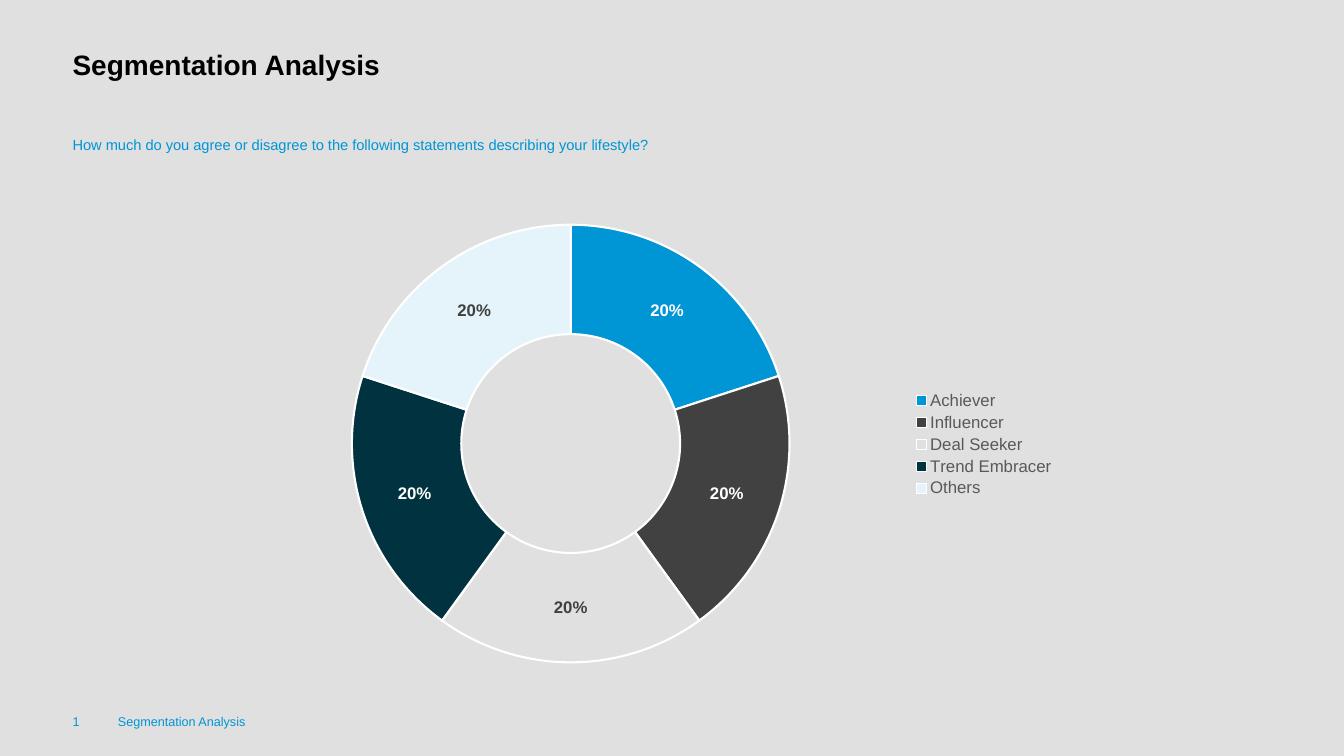
from dataclasses import dataclass

from pptx import Presentation
from pptx.chart.data import CategoryChartData
from pptx.dml.color import RGBColor
from pptx.enum import chart as ch
from pptx.oxml import parse_xml
from pptx.oxml.ns import nsdecls
from pptx.util import Pt

FONT = "Arial"
BLUE = "0095D5"
GREY = "E0E0E0"
LEFT = 51.84


@dataclass
class Caption:
    words: str
    left: float
    top: float
    width: float
    height: float
    size: float
    color: str = BLUE
    bold: bool = False
    spacing: float = 1.2


@dataclass
class Segment:
    name: str
    share: float
    fill: str
    label: str


CAPTIONS = [
    Caption("Segmentation Analysis", LEFT, 33.84, 708.5, 60.5, 20, "000000", True, 1.0),
    Caption("How much do you agree or disagree to the following statements "
            "describing your lifestyle?", LEFT, 94.3, 708.5, 30, 10.5),
    Caption("1", LEFT, 507.6, 31, 12.24, 9),
    Caption("Segmentation Analysis", 84.24, 507.6, 676, 12.24, 9),
]
SEGMENTS = [
    Segment("Achiever", 0.2, BLUE, "FFFFFF"),
    Segment("Influencer", 0.2, "414141", "FFFFFF"),
    Segment("Deal Seeker", 0.2, GREY, "404040"),
    Segment("Trend Embracer", 0.2, "00333F", "FFFFFF"),
    Segment("Others", 0.2, "E5F4FA", "404040"),
]


def rgb(value: str) -> RGBColor:
    return RGBColor.from_string(value)


def set_font(font, size: float, color: str, bold: bool = False) -> None:
    font.name, font.size, font.bold = FONT, Pt(size), bold
    font.color.rgb = rgb(color)


def add_caption(slide, caption: Caption) -> None:
    box = slide.shapes.add_textbox(Pt(caption.left), Pt(caption.top),
                                   Pt(caption.width), Pt(caption.height))
    frame = box.text_frame
    frame.word_wrap = True
    frame.margin_left = frame.margin_right = frame.margin_top = frame.margin_bottom = 0
    paragraph = frame.paragraphs[0]
    paragraph.text = caption.words
    paragraph.line_spacing = caption.spacing
    set_font(paragraph.font, caption.size, caption.color, caption.bold)


def add_segment_ring(slide, segments: list[Segment]) -> None:
    data = CategoryChartData(number_format="0%")
    data.categories = [segment.name for segment in segments]
    data.add_series("Series 1", [segment.share for segment in segments])
    ring = slide.shapes.add_chart(ch.XL_CHART_TYPE.DOUGHNUT, Pt(165.6), Pt(151.2),
                                  Pt(595.44), Pt(332.64), data).chart
    set_font(ring.font, 10, "000000")
    ring.has_title = False
    ring.has_legend = True
    ring.legend.position = ch.XL_LEGEND_POSITION.RIGHT
    ring.legend.include_in_layout = False
    set_font(ring.legend.font, 12, "595959")

    # Value labels
    plot = ring.plots[0]
    plot.vary_by_categories = True
    plot.has_data_labels = False
    labels = plot.series[0].data_labels
    labels.show_value = True
    labels.show_percentage = False
    labels.number_format, labels.number_format_is_linked = "0%", False
    set_font(labels.font, 12, "404040", True)

    # Ring segments
    for index, segment in enumerate(segments):
        point = plot.series[0].points[index]
        point.format.fill.solid()
        point.format.fill.fore_color.rgb = rgb(segment.fill)
        point.format.line.color.rgb = rgb("FFFFFF")
        point.format.line.width = Pt(1.5)
        if segment.label != "404040":
            set_font(point.data_label.font, 12, segment.label, True)

    # Hole size and ring placement
    chart_space = ring.element
    chart_space.xpath(".//c:holeSize")[0].set("val", "75")
    area = chart_space.xpath(".//c:plotArea")[0]
    for layout in area.xpath("./c:layout"):
        area.remove(layout)
    places = "".join(f'<c:{tag} val="{value}"/>' for tag, value in
                     [("x", 0.144), ("y", 0.028), ("w", 0.525), ("h", 0.94)])
    area.insert(0, parse_xml(
        f'<c:layout {nsdecls("c")}><c:manualLayout><c:layoutTarget val="inner"/>'
        f'<c:xMode val="edge"/><c:yMode val="edge"/>{places}</c:manualLayout></c:layout>'))


deck = Presentation()
deck.slide_width, deck.slide_height = Pt(960), Pt(540)
slide = deck.slides.add_slide(deck.slide_layouts[6])
slide.background.fill.solid()
slide.background.fill.fore_color.rgb = rgb(GREY)

for caption in CAPTIONS:
    add_caption(slide, caption)
add_segment_ring(slide, SEGMENTS)

deck.save("out.pptx")
